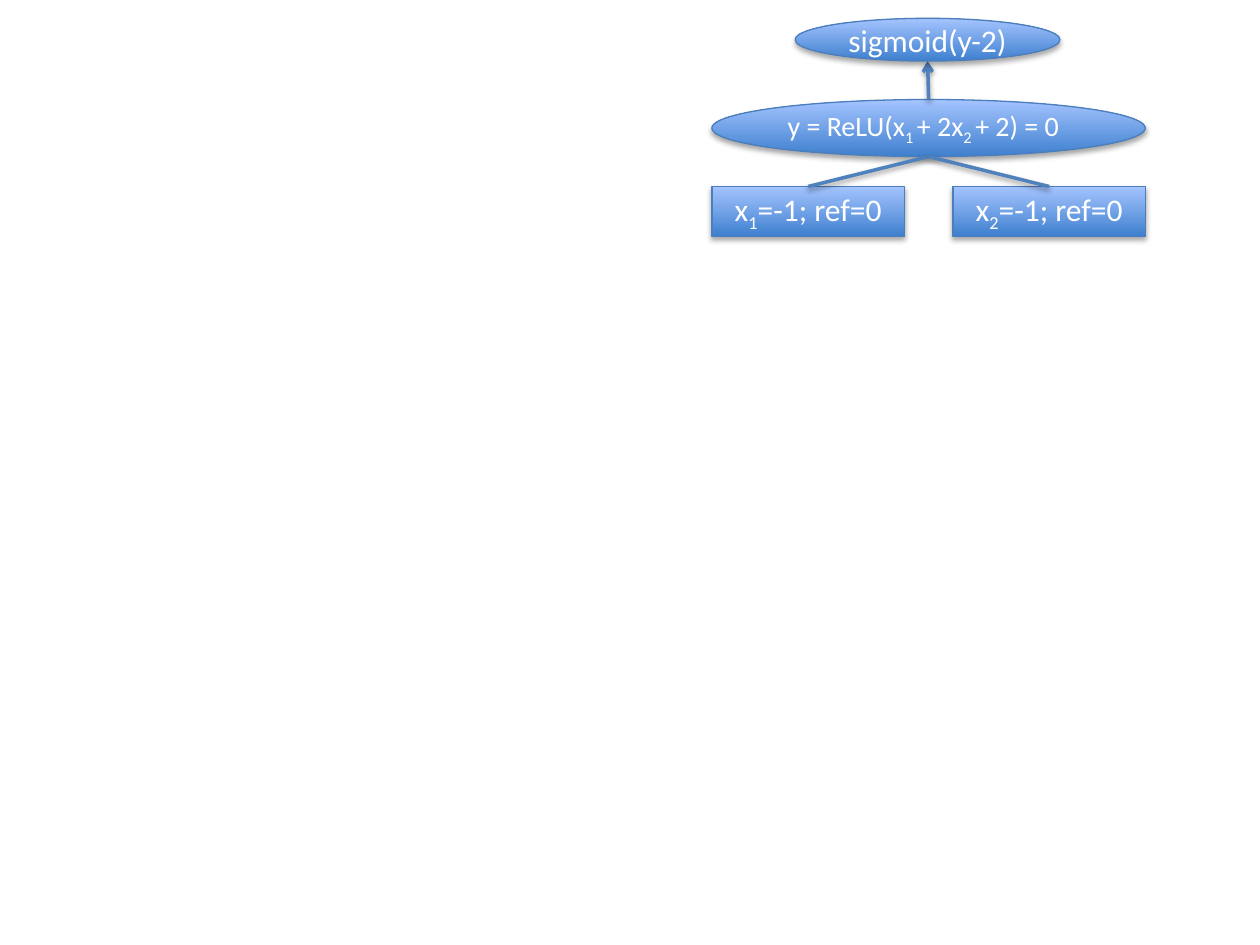
from dataclasses import dataclass

from lxml.etree import SubElement
from pptx import Presentation
from pptx.dml.color import RGBColor
from pptx.enum.shapes import MSO_CONNECTOR, MSO_SHAPE
from pptx.enum.text import MSO_ANCHOR, PP_ALIGN
from pptx.oxml.ns import qn
from pptx.util import Pt

COLORS = {
    "dark": "3F80CE",
    "light": "A4C4FF",
    "outline": "4B7EBC",
    "edge": "4F81BD",
    "text": "FFFFFF",
    "shadow": "000000",
}


@dataclass(frozen=True)
class Node:
    """A network node; text spans alternate between normal and subscript."""

    left: float
    top: float
    width: float
    height: float
    kind: MSO_SHAPE
    spans: tuple[str, ...]
    size: int = 18
    align: PP_ALIGN = PP_ALIGN.CENTER

    @property
    def upper(self) -> tuple[float, float]:
        """Return the middle of the top side."""
        return self.left + self.width / 2, self.top

    @property
    def lower(self) -> tuple[float, float]:
        """Return the middle of the bottom side."""
        return self.left + self.width / 2, self.top + self.height


def color(name: str) -> RGBColor:
    """Look up a colour by name."""
    return RGBColor.from_string(COLORS[name])


def add_shadow(shape, distance: float, opacity: int) -> None:
    """Give a shape or connector a soft shadow below it."""
    properties = shape._element.spPr
    effects = properties.find(qn("a:effectLst"))
    if effects is None:
        effects = SubElement(properties, qn("a:effectLst"))
    shadow = SubElement(effects, qn("a:outerShdw"), blurRad=str(Pt(3.1)),
                        dist=str(Pt(distance)), dir="5400000", rotWithShape="0")
    tone = SubElement(shadow, qn("a:srgbClr"), val=COLORS["shadow"])
    SubElement(tone, qn("a:alpha"), val=str(opacity * 1000))


def add_node(page, node: Node) -> None:
    """Draw a node with its gradient, shadow and label."""
    box = page.shapes.add_shape(node.kind, Pt(node.left), Pt(node.top),
                                Pt(node.width), Pt(node.height))
    box.fill.gradient()
    box.fill.gradient_angle = 90
    for stop, name in zip(box.fill.gradient_stops, ("dark", "light")):
        stop.color.rgb = color(name)
    box.fill.gradient_stops[0].position = 0
    box.fill.gradient_stops[1].position = 1
    box.line.color.rgb = color("outline")
    box.line.width = Pt(0.75)
    box.shadow.inherit = False
    add_shadow(box, 1.8, 35)

    frame = box.text_frame
    frame.word_wrap = True
    frame.vertical_anchor = MSO_ANCHOR.MIDDLE
    para = frame.paragraphs[0]
    para.alignment = node.align
    for index, text in enumerate(node.spans):
        span = para.add_run()
        span.text = text
        span.font.name = "Calibri"
        span.font.size = Pt(node.size)
        span.font.color.rgb = color("text")
        if index % 2:
            span._r.get_or_add_rPr().set("baseline", "-25000")


def add_edge(page, start: tuple[float, float], end: tuple[float, float],
             arrow: bool = False) -> None:
    """Connect two points, with an optional arrowhead at the end."""
    edge = page.shapes.add_connector(MSO_CONNECTOR.STRAIGHT,
                                     *(Pt(value) for value in start + end))
    edge.line.color.rgb = color("edge")
    edge.line.width = Pt(2)
    if arrow:
        SubElement(edge.line._get_or_add_ln(), qn("a:tailEnd"), type="arrow")
    add_shadow(edge, 1.6, 38)


def main() -> None:
    """Build the network diagram."""
    deck = Presentation()
    deck.slide_width, deck.slide_height = Pt(720), Pt(540)
    page = deck.slides.add_slide(deck.slide_layouts[6])

    hidden = Node(406.8, 56.9, 247.7, 32.6, MSO_SHAPE.OVAL,
                  ("y = ReLU(x", "1 ", "+ 2x", "2 ", "+ 2) = 0"), 16, PP_ALIGN.LEFT)
    inputs = [Node(left, 106.6, 110, 28.4, MSO_SHAPE.RECTANGLE,
                   ("x", number, "=-1; ref=0"))
              for left, number in ((544.5, "2"), (406.8, "1"))]
    output = Node(454.4, 10.5, 151.3, 24.4, MSO_SHAPE.OVAL, ("sigmoid(y-2)",))

    for node in (hidden, *inputs):
        add_node(page, node)
    for node in reversed(inputs):
        add_edge(page, hidden.lower, node.upper)
    add_edge(page, hidden.upper, output.lower, arrow=True)
    add_node(page, output)
    deck.save("out.pptx")


main()
